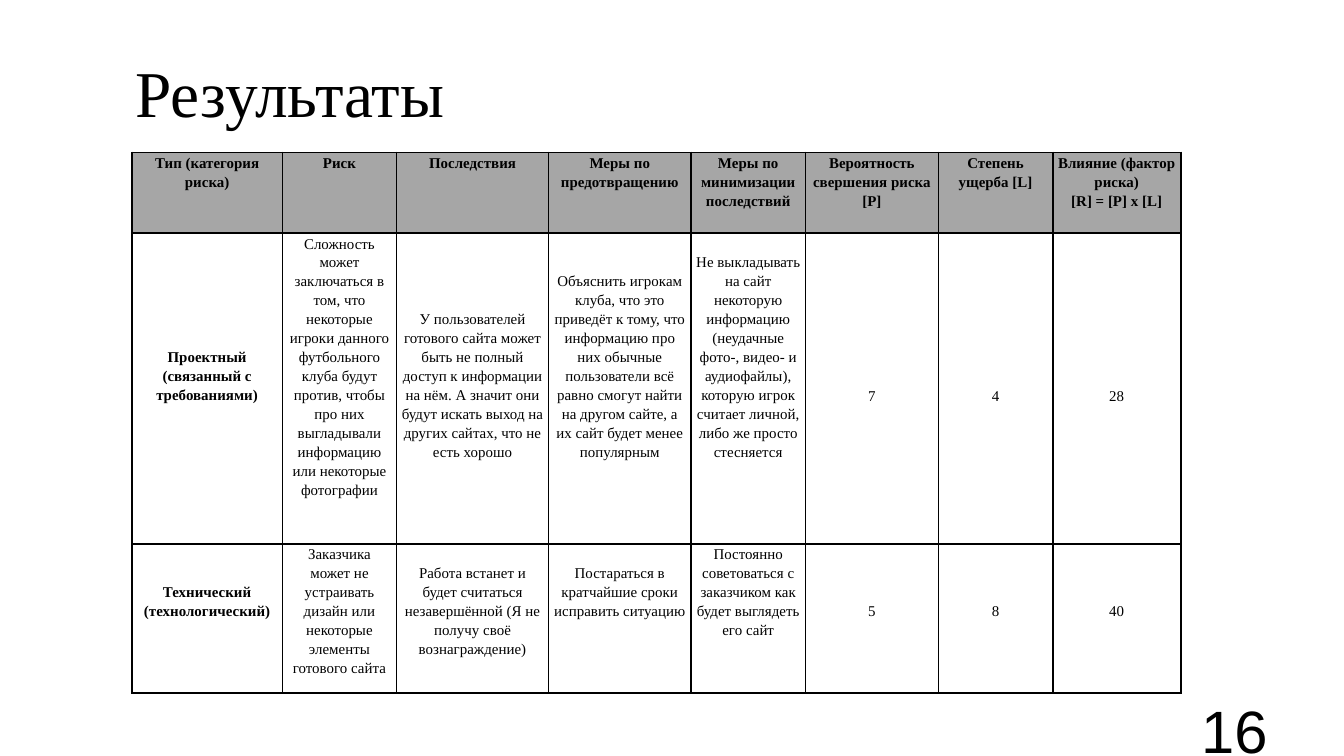
from lxml import etree
from pptx import Presentation
from pptx import util as u
from pptx.dml.color import RGBColor
from pptx.enum import text
from pptx.oxml import ns

Pt = u.Pt
LINE = 10.18  # height of one line of table text

COLS = [80.6, 61.2, 81.4, 76.4, 61.2, 71.3, 61.2, 68.6]
ROWS = [43.2, 166.5, 80]
HEADER = [
    "Тип (категория риска)", "Риск", "Последствия", "Меры по предотвращению",
    "Меры по минимизации последствий", "Вероятность свершения риска [P]",
    "Степень ущерба [L]", "Влияние (фактор риска)\n[R] = [P] x [L]",
]
# Each body cell: lines to move down from the top of the cell, wording
PROJECT = [
    (6, "Проектный (связанный с требованиями)"),
    (0, "Сложность может заключаться в том, что некоторые игроки данного "
        "футбольного клуба будут против, чтобы про них выгладывали информацию "
        "или некоторые фотографии"),
    (4, "У пользователей готового сайта может быть не полный доступ к информации "
        "на нём. А значит они будут искать выход на других сайтах, что не есть хорошо"),
    (2, "Объяснить игрокам клуба, что это приведёт к тому, что информацию про них "
        "обычные пользователи всё равно смогут найти на другом сайте, а их сайт "
        "будет менее популярным"),
    (1, "Не выкладывать на сайт некоторую информацию (неудачные фото-, видео- и "
        "аудиофайлы), которую игрок считает личной, либо же просто стесняется"),
    (8, "7"), (8, "4"), (8, "28"),
]
TECHNICAL = [
    (2, "Технический (технологический)"),
    (0, "Заказчика может не устраивать дизайн или некоторые элементы готового сайта"),
    (1, "Работа встанет и будет считаться незавершённой (Я не получу своё "
        "вознаграждение)"),
    (1, "Постараться в кратчайшие сроки исправить ситуацию"),
    (0, "Постоянно советоваться с заказчиком как будет выглядеть его сайт"),
    (3, "5"), (3, "8"), (3, "40"),
]


def rgb(value):
    return RGBColor.from_string(value)


class Deck:
    ink, head, paper = "000000", "A6A6A6", "FFFFFF"
    serif, sans = "Times New Roman", "Arial"

    def __init__(self, width, height):
        self.prs = Presentation()
        self.prs.slide_width, self.prs.slide_height = Pt(width), Pt(height)
        self.s = self.prs.slides.add_slide(self.prs.slide_layouts[6])

    def run(self, p, words, size, font, bold=False):
        r = p.add_run()
        r.text = words
        r.font.size, r.font.name, r.font.bold = Pt(size), font, bold
        r.font.color.rgb = rgb(self.ink)

    def label(self, x, y, w, h, words, size, font, align=text.PP_ALIGN.LEFT):
        tf = self.s.shapes.add_textbox(Pt(x), Pt(y), Pt(w), Pt(h)).text_frame
        tf.word_wrap = True
        tf.vertical_anchor = text.MSO_ANCHOR.MIDDLE
        tf.margin_top = tf.margin_bottom = 0
        p = tf.paragraphs[0]
        p.alignment = align
        self.run(p, words, size, font)

    def border(self, cell):
        tc_pr = cell._tc.get_or_add_tcPr()
        for side in ("a:lnL", "a:lnR", "a:lnT", "a:lnB"):
            ln = etree.SubElement(tc_pr, ns.qn(side), w=str(Pt(1)))
            fill = etree.SubElement(ln, ns.qn("a:solidFill"))
            etree.SubElement(fill, ns.qn("a:srgbClr"), val=self.ink)

    def cell(self, cell, words, fill, bold, down):
        """Fill one cell, its text starting `down` lines below the top."""
        self.border(cell)
        cell.fill.solid()
        cell.fill.fore_color.rgb = rgb(fill)
        cell.margin_left = cell.margin_right = Pt(2.2)
        cell.margin_top, cell.margin_bottom = Pt(down * LINE), 0
        tf = cell.text_frame
        for i, line in enumerate(words.split("\n")):
            p = tf.add_paragraph() if i else tf.paragraphs[0]
            p.alignment, p.line_spacing = text.PP_ALIGN.CENTER, 1.15
            self.run(p, line, 8, self.serif, bold)

    def table(self, x, y, cols, heights, rows):
        frame = self.s.shapes.add_table(len(heights), len(cols), Pt(x), Pt(y),
                                        Pt(sum(cols)), Pt(sum(heights)))
        table = frame.table
        table.horz_banding = False
        for column, width in zip(table.columns, cols):
            column.width = Pt(width)
        for i, (row, height) in enumerate(zip(table.rows, heights)):
            row.height = Pt(height)
            for j, (down, words) in enumerate(rows[i]):
                self.cell(table.cell(i, j), words, self.paper if i else self.head,
                          i == 0 or j == 0, down)


def main():
    deck = Deck(720, 405)
    deck.label(65.5, 24.5, 642, 49, "Результаты", 35, deck.serif)
    deck.label(518.4, 380.2, 167.8, 21.6, "16", 32, deck.sans, text.PP_ALIGN.RIGHT)
    header = [(0, words) for words in HEADER]
    deck.table(70.7, 81.7, COLS, ROWS, [header, PROJECT, TECHNICAL])
    deck.prs.save("out.pptx")


if __name__ == "__main__":
    main()
